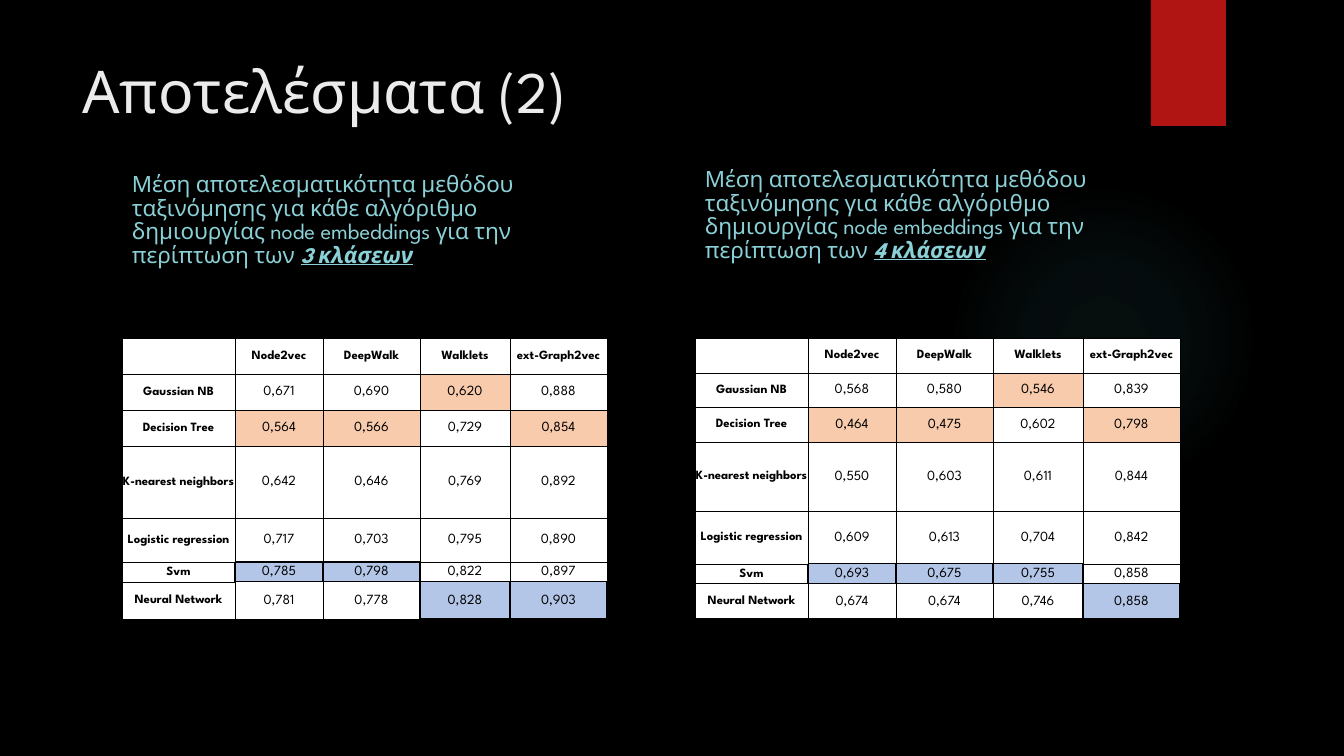
from pptx import Presentation
from pptx.dml.color import RGBColor
from pptx.enum.shapes import MSO_SHAPE
from pptx.enum.text import MSO_ANCHOR, PP_ALIGN
from pptx.oxml import parse_xml
from pptx.oxml.ns import nsdecls

PX = 914400 / 100.8
FONT = "League Spartan"
LEFT, CENTER = PP_ALIGN.LEFT, PP_ALIGN.CENTER
TOP, MIDDLE, BOTTOM = MSO_ANCHOR.TOP, MSO_ANCHOR.MIDDLE, MSO_ANCHOR.BOTTOM
OVAL, RECTANGLE = MSO_SHAPE.OVAL, MSO_SHAPE.RECTANGLE

BLACK = RGBColor(0x00, 0x00, 0x00)
WHITE = RGBColor(0xFF, 0xFF, 0xFF)
TITLE_GREY = RGBColor(0xEB, 0xEB, 0xEB)
CAPTION_TEAL = RGBColor(0x8A, 0xD0, 0xD6)
GLOW_TEAL = RGBColor(0x50, 0xB9, 0xC1)
TAB_RED = RGBColor(0xB0, 0x15, 0x13)
LOWEST_ORANGE = RGBColor(0xF8, 0xCB, 0xAD)
HIGHEST_BLUE = RGBColor(0xB4, 0xC6, 0xE7)

CAPTION = ("Μέση αποτελεσματικότητα μεθόδου ταξινόμησης για κάθε αλγόριθμο "
           "δημιουργίας node embeddings για την περίπτωση των ")
ALGORITHMS = ["Node2vec", "DeepWalk", "Walklets", "ext-Graph2vec"]
CLASSIFIERS = ["Gaussian NB", "Decision Tree", "K-nearest neighbors",
               "Logistic regression", "Svm", "Neural Network"]
COLUMN_WIDTHS = [113, 88, 97, 90, 97]
THREE_CLASSES = [
    ["0,671", "0,690", "0,620", "0,888"],
    ["0,564", "0,566", "0,729", "0,854"],
    ["0,642", "0,646", "0,769", "0,892"],
    ["0,717", "0,703", "0,795", "0,890"],
    ["0,785", "0,798", "0,822", "0,897"],
    ["0,781", "0,778", "0,828", "0,903"],
]
FOUR_CLASSES = [
    ["0,568", "0,580", "0,546", "0,839"],
    ["0,464", "0,475", "0,602", "0,798"],
    ["0,550", "0,603", "0,611", "0,844"],
    ["0,609", "0,613", "0,704", "0,842"],
    ["0,693", "0,675", "0,755", "0,858"],
    ["0,674", "0,674", "0,746", "0,858"],
]


def px(length):
    return round(length * PX)


def write(para, text, size, color, bold=False, italic=False, underline=False):
    span = para.add_run()
    span.text = text
    font = span.font
    font.name, font.size, font.color.rgb = FONT, round(size * 12700), color
    font.bold, font.italic, font.underline = bold, italic, underline


def add_shape(page, kind, left, top, width, height, color):
    shape = page.shapes.add_shape(kind, px(left), px(top), px(width), px(height))
    shape.shadow.inherit = False
    shape.fill.solid()
    shape.fill.fore_color.rgb = color
    shape.line.fill.background()
    return shape


def add_backdrop(page):
    page.background.fill.solid()
    page.background.fill.fore_color.rgb = BLACK
    glow = add_shape(page, OVAL, 949, 184, 310, 310, GLOW_TEAL)
    # Radial fade, from the centre outwards
    stops = "".join(
        f'<a:gs pos="{place}000"><a:srgbClr val="{GLOW_TEAL}">'
        f'<a:alpha val="{alpha}000"/></a:srgbClr></a:gs>'
        for place, alpha in [(0, 7), (36, 6), (69, 0)])
    fade = parse_xml(
        f'<a:gradFill {nsdecls("a")}><a:gsLst>{stops}</a:gsLst><a:path path="circle">'
        '<a:fillToRect l="50000" t="50000" r="50000" b="50000"/></a:path></a:gradFill>')
    properties = glow._element.spPr
    properties.replace(properties.find("{*}solidFill"), fade)
    add_shape(page, RECTANGLE, 1151, 0, 75, 126, TAB_RED)


def add_title(page, left, top, width, height):
    title = page.shapes.title
    title.left, title.top, title.width, title.height = map(px, (left, top, width, height))
    frame = title.text_frame
    frame.vertical_anchor = TOP
    para = frame.paragraphs[0]
    para.alignment = LEFT
    write(para, "Αποτελέσματα (2)", 42, TITLE_GREY)


def add_caption(page, left, top, width, height, classes):
    box = page.shapes.add_textbox(px(left), px(top), px(width), px(height))
    frame = box.text_frame
    frame.word_wrap = True
    frame.vertical_anchor = BOTTOM
    para = frame.paragraphs[0]
    para.line_spacing = 0.88
    write(para, CAPTION, 16, CAPTION_TEAL)
    write(para, classes, 16, CAPTION_TEAL, bold=True, italic=True, underline=True)


def set_borders(cell, row, column, highest):
    properties = cell._tc.get_or_add_tcPr()
    neighbours = {"L": (row, column - 1), "R": (row, column + 1),
                  "T": (row - 1, column), "B": (row + 1, column)}
    for side, neighbour in neighbours.items():
        thick = highest & {(row, column), neighbour}
        properties.append(parse_xml(
            f'<a:ln{side} {nsdecls("a")} w="{12700 if thick else 6350}"><a:solidFill>'
            f'<a:srgbClr val="{BLACK}"/></a:solidFill></a:ln{side}>'))


def add_scores(page, left, top, row_heights, scores):
    rows = [["", *ALGORITHMS]]
    rows += [[name, *values] for name, values in zip(CLASSIFIERS, scores)]
    frame = page.shapes.add_table(len(rows), len(COLUMN_WIDTHS), px(left), px(top),
                                  px(sum(COLUMN_WIDTHS)), px(sum(row_heights)))
    table = frame.table
    table.first_row = table.horz_banding = False
    for column, width in zip(table.columns, COLUMN_WIDTHS):
        column.width = px(width)
    for row, height in zip(table.rows, row_heights):
        row.height = px(height)

    # Lowest and highest score of each algorithm; the last one wins a tie
    lowest, highest = set(), set()
    for column in range(1, len(COLUMN_WIDTHS)):
        ranked = sorted((rows[row][column], row) for row in range(1, len(rows)))
        lowest.add((ranked[0][1], column))
        highest.add((ranked[-1][1], column))

    for r, texts in enumerate(rows):
        for c, text in enumerate(texts):
            cell = table.cell(r, c)
            set_borders(cell, r, c, highest)
            cell.fill.solid()
            cell.fill.fore_color.rgb = (LOWEST_ORANGE if (r, c) in lowest else
                                        HIGHEST_BLUE if (r, c) in highest else WHITE)
            cell.margin_left = cell.margin_right = cell.margin_top = px(1)
            cell.margin_bottom = 0
            cell.vertical_anchor = MIDDLE
            para = cell.text_frame.paragraphs[0]
            para.alignment = CENTER
            heading = r == 0 or c == 0
            if text:
                write(para, text, 9 if heading else 10, BLACK, bold=heading)


def main():
    deck = Presentation()
    deck.slide_width, deck.slide_height = px(1344), px(756)
    page = deck.slides.add_slide(deck.slide_layouts[5])
    add_backdrop(page)
    add_title(page, 72, 50, 1037, 154)
    # Left half: three classes
    add_caption(page, 122, 210, 485, 63, "3 κλάσεων")
    add_scores(page, 122, 338, [36, 36, 36, 72, 44, 20, 37], THREE_CLASSES)
    # Right half: four classes
    add_caption(page, 695, 205, 485, 63, "4 κλάσεων")
    add_scores(page, 695, 338, [35, 34, 35, 69, 53, 20, 35], FOUR_CLASSES)
    deck.save("out.pptx")


if __name__ == "__main__":
    main()
